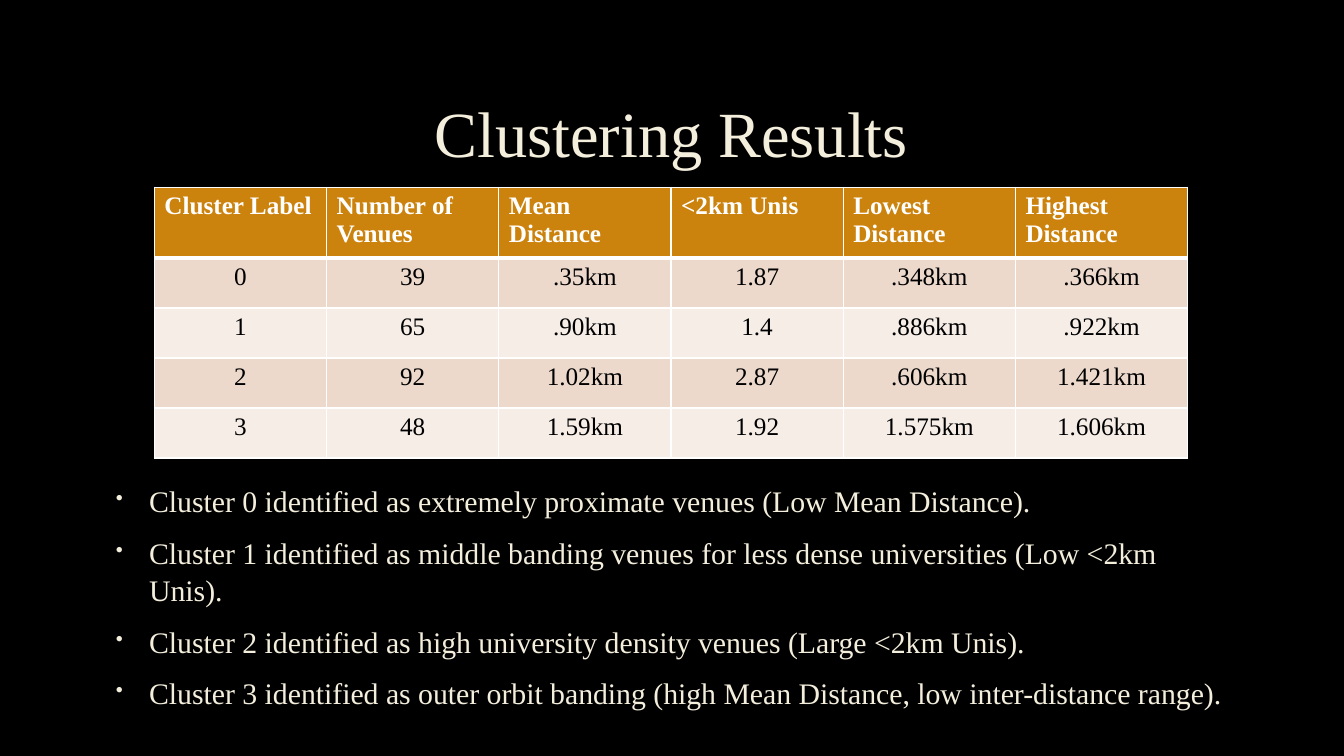
"""Build the Clustering Results slide with its cluster table and findings."""
from dataclasses import astuple, dataclass

import pptx
import pptx.dml.color
import pptx.enum.text
import pptx.oxml
import pptx.oxml.ns
import pptx.table
import pptx.text.text
import pptx.util

Cm = pptx.util.Cm
Pt = pptx.util.Pt
RGBColor = pptx.dml.color.RGBColor
Align = pptx.enum.text.PP_ALIGN
Anchor = pptx.enum.text.MSO_ANCHOR

BLACK = RGBColor(0x00, 0x00, 0x00)
WHITE = RGBColor(0xFF, 0xFF, 0xFF)
CREAM = RGBColor(0xF4, 0xEE, 0xDC)
OCHRE = RGBColor(0xCC, 0x83, 0x0E)
ROSE = RGBColor(0xEC, 0xD9, 0xCC)
PALE_ROSE = RGBColor(0xF6, 0xED, 0xE7)

FONT = "Times New Roman"
TEXT_LEFT, TEXT_WIDTH = Cm(2.54), Cm(28.75)
COLUMN_WIDTH, HEADER_HEIGHT, CLUSTER_HEIGHT = Cm(4.34), Cm(1.72), Cm(1.26)


@dataclass
class Cluster:
    label: str
    venues: str
    mean: str
    unis: str
    lowest: str
    highest: str


HEADINGS = Cluster("Cluster Label", "Number of Venues", "Mean Distance",
                   "<2km Unis", "Lowest Distance", "Highest Distance")
CLUSTERS = [
    Cluster("0", "39", ".35km", "1.87", ".348km", ".366km"),
    Cluster("1", "65", ".90km", "1.4", ".886km", ".922km"),
    Cluster("2", "92", "1.02km", "2.87", ".606km", "1.421km"),
    Cluster("3", "48", "1.59km", "1.92", "1.575km", "1.606km"),
]
FINDINGS = [
    "Cluster 0 identified as extremely proximate venues (Low Mean Distance).",
    "Cluster 1 identified as middle banding venues for less dense universities (Low <2km Unis).",
    "Cluster 2 identified as high university density venues (Large <2km Unis).",
    "Cluster 3 identified as outer orbit banding (high Mean Distance, low inter-distance range).",
]


def add_bullet(paragraph: pptx.text.text._Paragraph) -> None:
    properties = paragraph._p.get_or_add_pPr()
    properties.set("marL", str(Cm(0.97)))
    properties.set("indent", str(-Cm(0.84)))
    namespace = pptx.oxml.ns.nsdecls("a")
    for markup in (
        f'<a:buClr {namespace}><a:srgbClr val="{CREAM}"/></a:buClr>',
        f'<a:buSzPct {namespace} val="70000"/>',
        f'<a:buChar {namespace} char="•"/>',
    ):
        properties.append(pptx.oxml.parse_xml(markup))


def write(paragraph: pptx.text.text._Paragraph, text: str, *, size: float,
          color: RGBColor, bold: bool = False, align: Align = Align.LEFT,
          line_spacing: float = 1.0, before: float = 0, after: float = 0,
          bullet: bool = False) -> None:
    if bullet:
        add_bullet(paragraph)
    paragraph.alignment = align
    paragraph.line_spacing = line_spacing
    paragraph.space_before, paragraph.space_after = Pt(before), Pt(after)
    run = paragraph.add_run()
    run.text = text
    run.font.name, run.font.size, run.font.bold = FONT, Pt(size), bold
    run.font.color.rgb = color


def set_borders(cell: pptx.table._Cell, top: float, bottom: float) -> None:
    widths = {"lnL": 1, "lnR": 1, "lnT": top, "lnB": bottom}
    for position, (side, width) in enumerate(widths.items()):
        cell._tc.get_or_add_tcPr().insert(position, pptx.oxml.parse_xml(
            f'<a:{side} {pptx.oxml.ns.nsdecls("a")} w="{Pt(width)}">'
            f'<a:solidFill><a:srgbClr val="{WHITE}"/></a:solidFill></a:{side}>'))


def fill_row(table: pptx.table.Table, row: int, cluster: Cluster) -> None:
    header = row == 0
    fill = OCHRE if header else (ROSE if row % 2 else PALE_ROSE)
    table.rows[row].height = HEADER_HEIGHT if header else CLUSTER_HEIGHT
    for column, text in enumerate(astuple(cluster)):
        cell = table.cell(row, column)
        cell.fill.solid()
        cell.fill.fore_color.rgb = fill
        set_borders(cell, top=3 if row == 1 else 1, bottom=3 if header else 1)
        write(cell.text_frame.paragraphs[0], text, size=18, bold=header,
              color=WHITE if header else BLACK,
              align=Align.LEFT if header else Align.CENTER)


def main() -> None:
    deck = pptx.Presentation()
    deck.slide_width, deck.slide_height = Cm(33.87), Cm(19.05)
    slide = deck.slides.add_slide(deck.slide_layouts[5])
    slide.background.fill.solid()
    slide.background.fill.fore_color.rgb = BLACK

    heading = slide.shapes.title
    heading.left, heading.top = TEXT_LEFT, Cm(1.7)
    heading.width, heading.height = TEXT_WIDTH, Cm(3.5)
    heading.text_frame.vertical_anchor = Anchor.MIDDLE
    heading.text_frame.auto_size = pptx.enum.text.MSO_AUTO_SIZE.NONE
    write(heading.text_frame.paragraphs[0], "Clustering Results", size=46,
          color=CREAM, align=Align.CENTER, line_spacing=0.9)

    findings = slide.shapes.add_textbox(TEXT_LEFT, Cm(12.01), TEXT_WIDTH, Cm(5.36)).text_frame
    findings.word_wrap = True
    for index, finding in enumerate(FINDINGS):
        paragraph = findings.add_paragraph() if index else findings.paragraphs[0]
        write(paragraph, finding, size=21.3, color=CREAM, line_spacing=1.04,
              before=4.25 if index else 0, after=6, bullet=True)

    rows = [HEADINGS, *CLUSTERS]
    columns = len(astuple(HEADINGS))
    results = slide.shapes.add_table(
        len(rows), columns, Cm(3.89), Cm(4.72), COLUMN_WIDTH * columns,
        HEADER_HEIGHT + CLUSTER_HEIGHT * len(CLUSTERS)).table
    for column in results.columns:
        column.width = COLUMN_WIDTH
    for row, cluster in enumerate(rows):
        fill_row(results, row, cluster)

    deck.save("out.pptx")


if __name__ == "__main__":
    main()
